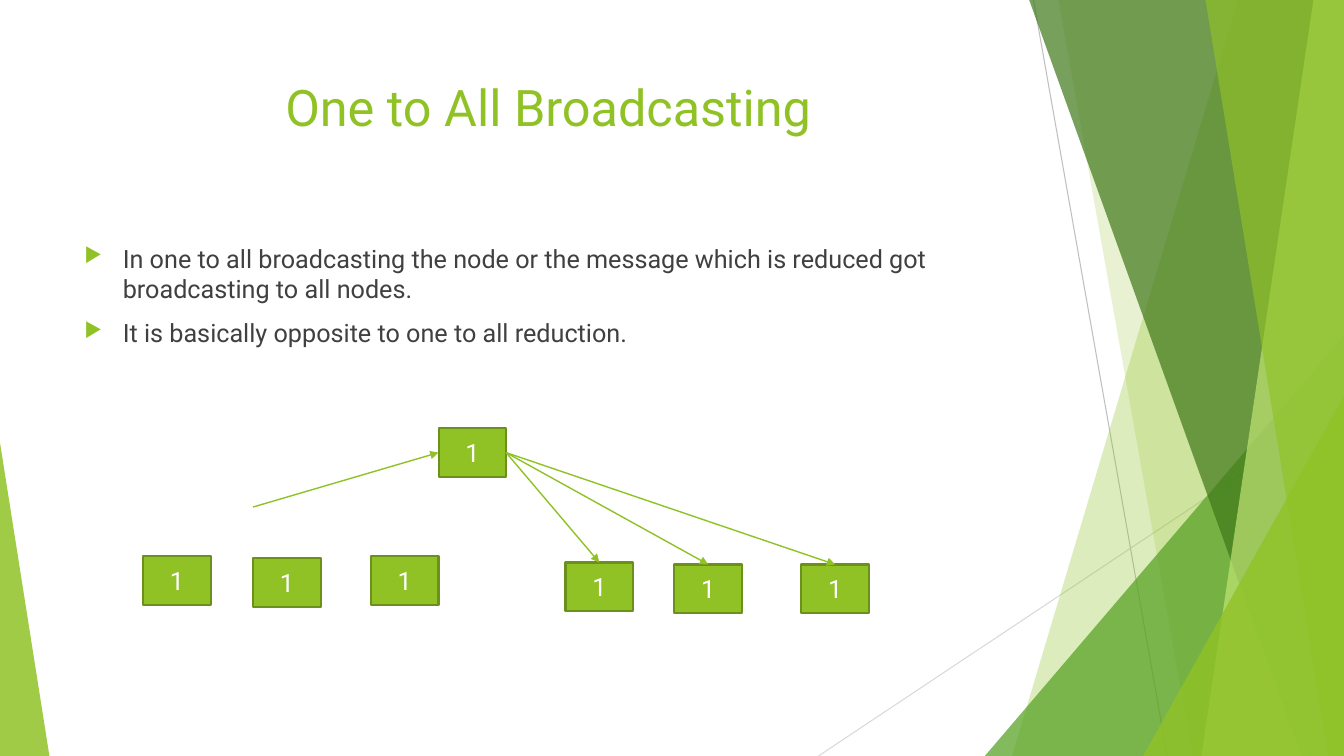
import dataclasses
import typing

import lxml.etree
import pptx
import pptx.dml.color
import pptx.enum.shapes
import pptx.enum.text
import pptx.oxml.ns
import pptx.util

Point = tuple[float, float]


@dataclasses.dataclass(frozen=True)
class Theme:
    font: str = "Roboto"
    green: str = "90C226"
    leaf: str = "54A021"
    moss: str = "3F7819"
    lime: str = "C0E474"
    edge: str = "6B901C"
    text: str = "404040"
    white: str = "FFFFFF"
    gray: str = "BFBFBF"
    pale: str = "D9D9D9"
    title: float = 36
    body: float = 18
    gap: float = 10
    border: float = 1.5
    arrow: float = 1
    hair: float = 0.75


@dataclasses.dataclass(frozen=True)
class Band:
    top: float
    base: float
    color: str
    alpha: int


@dataclasses.dataclass(frozen=True)
class Wedge:
    left: float
    top: float
    width: float
    apex: float
    color: str
    alpha: int


@dataclasses.dataclass(frozen=True)
class Line:
    start: Point
    end: Point
    color: str


THEME = Theme()
WIDTH = pptx.util.Inches(40 / 3)
HEIGHT = pptx.util.Inches(7.5)
SIDES = {"top": 0, "left": 1, "right": 3}

LINES = [
    Line((76.9, 0), (86.85, 100), THEME.gray),
    Line((100, 53.73), (60.9, 100), THEME.pale),
]
DECOR: list[Band | Wedge] = [
    Band(92.1, 75.3, THEME.green, 30),
    Band(78.75, 88.73, THEME.green, 20),
    Wedge(73.28, 44.4, 26.72, 1, THEME.leaf, 72),
    Band(76.58, 96.83, THEME.moss, 70),
    Band(97.73, 89.4, THEME.lime, 70),
    Band(89.7, 98.85, THEME.green, 65),
    Wedge(85.05, 52.4, 14.95, 1, THEME.green, 80),
    Wedge(0, 58.53, 3.68, 0, THEME.green, 85),
]
LEFT = [(10.65, 73.6), (18.83, 73.87), (27.6, 73.6)]
RIGHT = [(42.08, 74.4), (50.18, 74.67), (59.63, 74.67)]
ROOT = (32.63, 56.67)
NODE = (5.03, 6.4)
TAIL = (18.83, 67.07)
POINTS = [
    "In one to all broadcasting the node or the message which is reduced got broadcasting to all nodes.",
    "It is basically opposite to one to all reduction.",
]


def col(share: float) -> int:
    return round(WIDTH * share / 100)


def row(share: float) -> int:
    return round(HEIGHT * share / 100)


def tint(code: str) -> pptx.dml.color.RGBColor:
    return pptx.dml.color.RGBColor.from_string(code)


def add_node(parent: typing.Any, tag: str, **attrs: str) -> typing.Any:
    return lxml.etree.SubElement(parent, pptx.oxml.ns.qn(tag), attrs)


def paint(shape: typing.Any, color: str, alpha: int = 100) -> None:
    shape.shadow.inherit = False
    shape.fill.solid()
    shape.fill.fore_color.rgb = tint(color)
    if alpha < 100:
        fill = shape.fill._xPr.find(pptx.oxml.ns.qn("a:solidFill"))
        add_node(fill[0], "a:alpha", val=str(alpha * 1000))
        shape.line.fill.background()


def write(para: typing.Any, text: str, size: float, color: str) -> None:
    run = para.add_run()
    run.text = text
    run.font.name = THEME.font
    run.font.size = pptx.util.Pt(size)
    run.font.color.rgb = tint(color)


def draw_line(slide: typing.Any, line: Line, width: float) -> typing.Any:
    (x, y), (right, base) = line.start, line.end
    shape = slide.shapes.add_connector(
        pptx.enum.shapes.MSO_CONNECTOR.STRAIGHT, col(x), row(y), col(right), row(base)
    )
    shape.line.color.rgb = tint(line.color)
    shape.line.width = pptx.util.Pt(width)
    add_node(shape._element.spPr, "a:effectLst")
    return shape


def draw_band(slide: typing.Any, band: Band) -> None:
    pen = slide.shapes.build_freeform(col(band.top), 0)
    pen.add_line_segments([(WIDTH, 0), (WIDTH, HEIGHT), (col(band.base), HEIGHT)])
    paint(pen.convert_to_shape(), band.color, band.alpha)


def draw_wedge(slide: typing.Any, wedge: Wedge) -> None:
    shape = slide.shapes.add_shape(
        pptx.enum.shapes.MSO_SHAPE.ISOSCELES_TRIANGLE,
        col(wedge.left), row(wedge.top), col(wedge.width), row(100 - wedge.top),
    )
    shape.adjustments[0] = wedge.apex
    paint(shape, wedge.color, wedge.alpha)


def draw_node(slide: typing.Any, spot: Point) -> typing.Any:
    shape = slide.shapes.add_shape(
        pptx.enum.shapes.MSO_SHAPE.RECTANGLE,
        col(spot[0]), row(spot[1]), col(NODE[0]), row(NODE[1]),
    )
    paint(shape, THEME.green)
    shape.line.color.rgb = tint(THEME.edge)
    shape.line.width = pptx.util.Pt(THEME.border)
    frame = shape.text_frame
    frame.vertical_anchor = pptx.enum.text.MSO_ANCHOR.MIDDLE
    frame.paragraphs[0].alignment = pptx.enum.text.PP_ALIGN.CENTER
    write(frame.paragraphs[0], "1", THEME.body, THEME.white)
    return shape


def draw_arrow(slide: typing.Any, source: typing.Any, target: typing.Any, side: str) -> None:
    shape = draw_line(slide, Line(TAIL, ROOT, THEME.green), THEME.arrow)
    if source is not None:
        shape.begin_connect(source, SIDES["right"])
    shape.end_connect(target, SIDES[side])
    add_node(shape.line._get_or_add_ln(), "a:tailEnd", type="triangle")


def add_text(slide: typing.Any, top: float, height: float) -> typing.Any:
    frame = slide.shapes.add_textbox(col(5.55), row(top), col(70.5), row(height)).text_frame
    frame.word_wrap = True
    return frame


def add_point(para: typing.Any, text: str, first: bool) -> None:
    props = para._p.get_or_add_pPr()
    hang = pptx.util.Inches(0.38)
    props.set("marL", str(hang))
    props.set("indent", str(-hang))
    add_node(add_node(props, "a:buClr"), "a:srgbClr", val=THEME.green)
    add_node(props, "a:buSzPct", val="80000")
    add_node(props, "a:buChar", char="▶")
    if not first:
        para.space_before = pptx.util.Pt(THEME.gap)
    write(para, text, THEME.body, THEME.text)


def main() -> None:
    deck = pptx.Presentation()
    deck.slide_width, deck.slide_height = WIDTH, HEIGHT
    slide = deck.slides.add_slide(deck.slide_layouts[6])
    for line in LINES:
        draw_line(slide, line, THEME.hair)
    for part in DECOR:
        if isinstance(part, Band):
            draw_band(slide, part)
        else:
            draw_wedge(slide, part)
    title = add_text(slide, 8.93, 10.27)
    title.vertical_anchor = pptx.enum.text.MSO_ANCHOR.MIDDLE
    title.paragraphs[0].alignment = pptx.enum.text.PP_ALIGN.CENTER
    write(title.paragraphs[0], "One to All Broadcasting", THEME.title, THEME.green)
    body = add_text(slide, 31.47, 56.53)
    for rank, text in enumerate(POINTS):
        para = body.add_paragraph() if rank else body.paragraphs[0]
        add_point(para, text, rank == 0)
    for spot in LEFT:
        draw_node(slide, spot)
    leaves = [draw_node(slide, spot) for spot in RIGHT]
    root = draw_node(slide, ROOT)
    for leaf in leaves:
        draw_arrow(slide, root, leaf, "top")
    draw_arrow(slide, None, root, "left")
    deck.save("out.pptx")


if __name__ == "__main__":
    main()
